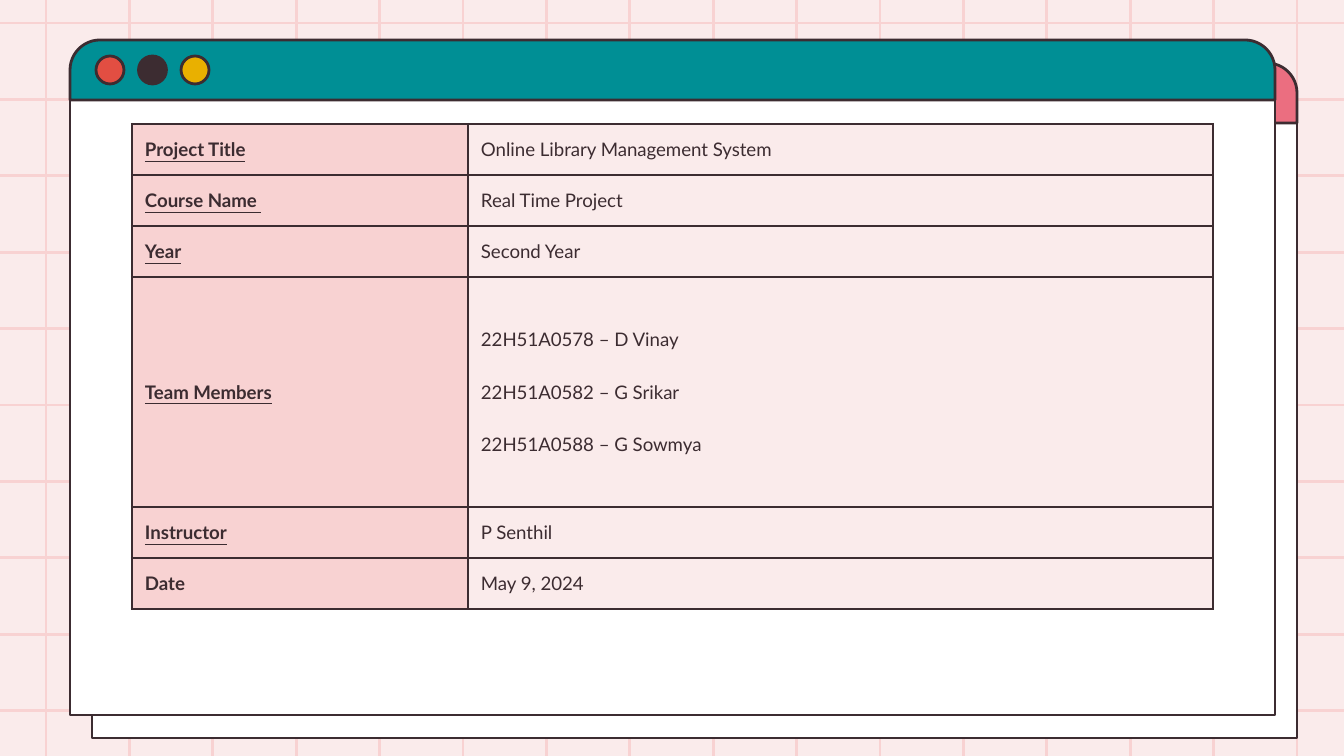
from lxml import etree
from pptx import Presentation
from pptx.dml.color import RGBColor
from pptx.enum.shapes import MSO_CONNECTOR, MSO_SHAPE
from pptx.enum.text import MSO_ANCHOR
from pptx.oxml import parse_xml
from pptx.oxml.ns import qn
from pptx.util import Emu, Pt

STRAIGHT = MSO_CONNECTOR.STRAIGHT
RECTANGLE = MSO_SHAPE.RECTANGLE
ROUND_TOP = MSO_SHAPE.ROUND_2_SAME_RECTANGLE
OVAL = MSO_SHAPE.OVAL
MIDDLE = MSO_ANCHOR.MIDDLE

SCALE = 6803.57  # EMU per px
WIDTH, HEIGHT = 1344, 756
INK, PINK, BLUSH, WHITE = "3C2C31", "F8D2D2", "FAEBEB", "FFFFFF"
ROSE, TEAL, RED, YELLOW = "EB6E80", "008F95", "E24E42", "E9B000"
STROKE = Pt(1.5)
DRAWING_NS = "http://schemas.openxmlformats.org/drawingml/2006/main"


def px(length):
    return Emu(round(length * SCALE))


def paint(color_format, color):
    """Colour a fill, a line fill or a font from a hex string."""
    if hasattr(color_format, "solid"):
        color_format.solid()
        color_format = color_format.fore_color
    color_format.rgb = RGBColor.from_string(color)


deck = Presentation()
deck.slide_width, deck.slide_height = px(WIDTH), px(HEIGHT)
page = deck.slides.add_slide(deck.slide_layouts[6])
paint(page.background.fill, BLUSH)

# Background grid
columns = [46 + 83.4 * i for i in range(16)]
rows = [23 + 76.4 * i for i in range(10)]
grid = [(x, 0, x, HEIGHT) for x in columns] + [(0, y, WIDTH, y) for y in rows]
for ends in grid:
    line = page.shapes.add_connector(STRAIGHT, *map(px, ends))
    paint(line.line.fill, PINK)
    line.line.width = STROKE
    etree.SubElement(line._element.spPr, qn("a:effectLst"))

# Two stacked browser windows, back one first
for left, top, bar_color in ((92, 63, ROSE), (70, 40, TEAL)):
    parts = [
        (RECTANGLE, left, top + 60, 1205, 615, WHITE),
        (ROUND_TOP, left, top, 1205, 60, bar_color),
    ]
    for i, color in enumerate((RED, INK, YELLOW)):
        parts.append((OVAL, left + 26 + 42.5 * i, top + 16, 28, 28, color))
    for kind, x, y, width, height, color in parts:
        box = page.shapes.add_shape(kind, px(x), px(y), px(width), px(height))
        box.shadow.inherit = False
        paint(box.fill, color)
        paint(box.line.fill, INK)
        box.line.width = STROKE
        if kind == ROUND_TOP:
            box.adjustments[0] = 0.5

# Project details: label, underlined, values, row height
details = [
    ("Project Title", True, ["Online Library Management System"], 51),
    ("Course Name ", True, ["Real Time Project"], 51),
    ("Year", True, ["Second Year"], 51),
    ("Team Members", True, ["22H51A0578 – D Vinay", "22H51A0582 – G Srikar",
                            "22H51A0588 – G Sowmya"], 230),
    ("Instructor", True, ["P Senthil"], 51),
    ("Date", False, ["May 9, 2024"], 51),
]
table_height = sum(detail[3] for detail in details)
table = page.shapes.add_table(len(details), 2, px(132), px(124),
                              px(1081), px(table_height)).table
table.first_row = table.horz_banding = False
table.columns[0].width, table.columns[1].width = px(336), px(745)

for row, (label, underlined, values, height) in enumerate(details):
    table.rows[row].height = px(height)
    for column, texts in enumerate(([label], values)):
        is_label = column == 0
        cell = table.cell(row, column)
        cell.vertical_anchor = MIDDLE
        cell.margin_left = cell.margin_right = px(13)
        cell.margin_top = cell.margin_bottom = 0
        for side in ("lnL", "lnR", "lnT", "lnB"):
            cell._tc.get_or_add_tcPr().append(parse_xml(
                f'<a:{side} xmlns:a="{DRAWING_NS}" w="{STROKE}"><a:solidFill>'
                f'<a:srgbClr val="{INK}"/></a:solidFill></a:{side}>'))
        paint(cell.fill, PINK if is_label else BLUSH)
        for i, text in enumerate(texts):
            frame = cell.text_frame
            para = frame.add_paragraph() if i else frame.paragraphs[0]
            if i < len(texts) - 1:
                para.space_after = Pt(16)
            span = para.add_run()
            span.text = text
            span.font.name = "Lato"
            span.font.size = Pt(10)
            span.font.bold = is_label
            span.font.underline = is_label and underlined
            paint(span.font.fill, INK)

deck.save("out.pptx")
